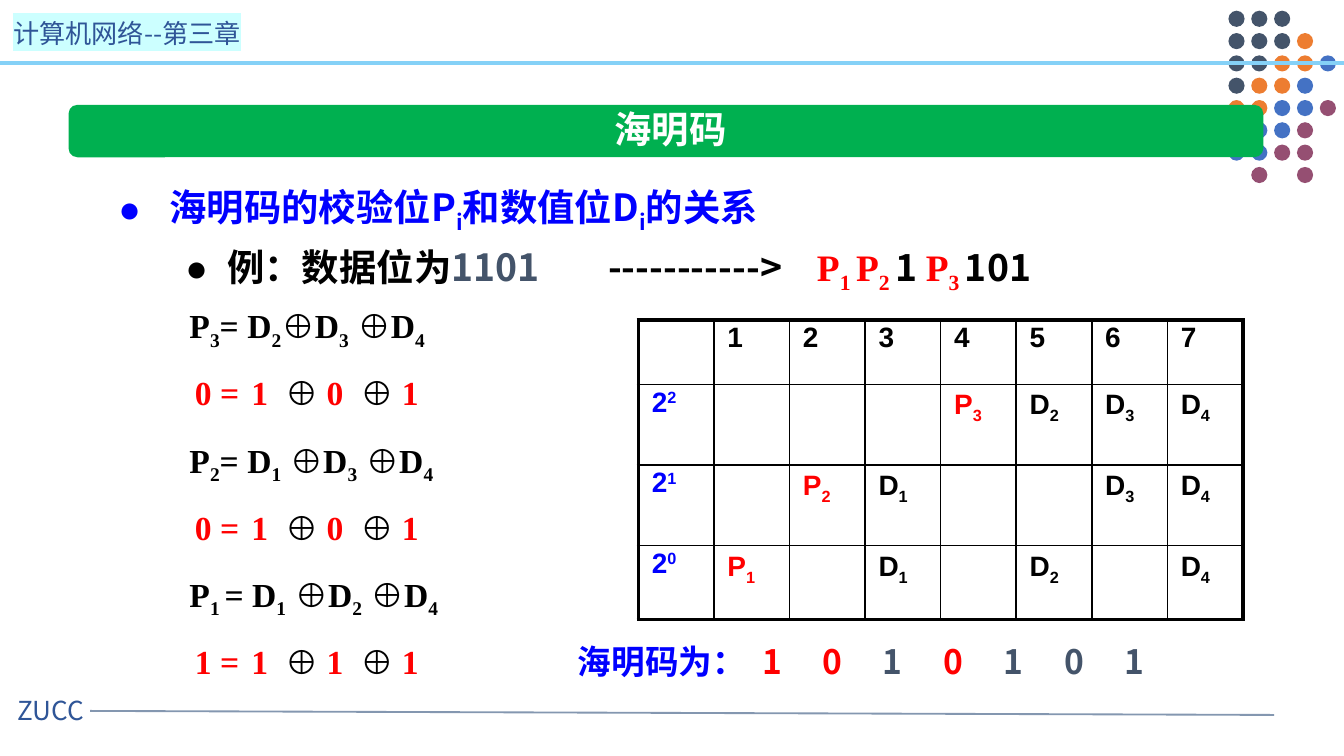
from dataclasses import dataclass

from lxml.etree import SubElement
from pptx import Presentation
from pptx.dml.color import RGBColor
from pptx.enum.shapes import MSO_CONNECTOR as Connector, MSO_SHAPE as Preset
from pptx.enum.text import MSO_ANCHOR as Anchor, MSO_AUTO_SIZE as AutoSize, PP_ALIGN as Align
from pptx.oxml import parse_xml
from pptx.oxml.ns import nsdecls, qn
from pptx.util import Inches, Pt

BLACK = RGBColor(0x00, 0x00, 0x00)
WHITE = RGBColor(0xFF, 0xFF, 0xFF)
BLUE = RGBColor(0x00, 0x00, 0xFF)
RED = RGBColor(0xFF, 0x00, 0x00)
SLATE = RGBColor(0x44, 0x54, 0x6A)
NAVY = RGBColor(0x2F, 0x55, 0x97)
STEEL = RGBColor(0x84, 0x97, 0xB0)
SKY = RGBColor(0x85, 0xD1, 0xF7)
PALE = RGBColor(0xCC, 0xFF, 0xFF)
GREEN = RGBColor(0x00, 0xB0, 0x50)
DOT_COLORS = {"N": SLATE, "O": RGBColor(0xED, 0x7D, 0x31),
              "B": RGBColor(0x44, 0x72, 0xC4), "P": RGBColor(0x95, 0x4F, 0x72)}

SANS, SERIF, PLAIN = "Noto Sans CJK SC", "Times New Roman", "Arial"
UNIT = Inches(10) / 100
DOT_ROWS = ("NNN", "NNNO", "NNOOB", "NOOB", "OOBBP", " BBP", "BBPP", " P P")
TERM_TABS = [0.4] + [start + 5.6 * step for step in range(3) for start in (4.6, 7.1)][:5]
CODE_TABS = [28.9] + [42.6 + 4.5 * step for step in range(7)]


@dataclass(frozen=True)
class Box:
    left: float
    top: float
    width: float
    height: float

    def emu(self) -> tuple:
        return tuple(grid(n) for n in (self.left, self.top, self.width, self.height))


@dataclass(frozen=True)
class Span:
    text: str
    color: RGBColor
    font: str = SANS
    size: float = 20
    bold: bool = True
    spread: int = 0


def grid(count: float) -> int:
    return round(count * UNIT)


def apply(target, formats: dict) -> None:
    for name, value in formats.items():
        setattr(target, name, value)


def place(shape, box: Box) -> None:
    apply(shape, dict(zip(("left", "top", "width", "height"), box.emu())))


def add_run(para, span: Span, text: str, baseline: int = 0, highlight=None) -> None:
    run = para.add_run()
    run.text = text
    apply(run.font, {"name": span.font, "size": Pt(span.size), "bold": span.bold})
    run.font.color.rgb = span.color
    props = run.font._element
    if baseline:
        props.set("baseline", str(baseline * 1000))
    if span.spread:
        props.set("spc", str(span.spread * 100))
    if span.font == SANS:
        props.find(qn("a:latin")).addnext(
            parse_xml(f'<a:ea {nsdecls("a")} typeface="{SANS}"/>'))
    if highlight is not None:
        props.find(qn("a:solidFill")).addnext(parse_xml(
            f'<a:highlight {nsdecls("a")}><a:srgbClr val="{highlight}"/></a:highlight>'))


def write(para, spans: list, highlight=None) -> None:
    for span in spans:
        mark, baseline = ("^", 30) if "^" in span.text else ("_", -25)
        plain, *pieces = span.text.split(mark)
        if plain:
            add_run(para, span, plain, highlight=highlight)
        for piece in pieces:
            end = 2 if piece[1:2] == " " and "⊕" not in piece else 1
            add_run(para, span, piece[:end], baseline)
            if piece[end:]:
                add_run(para, span, piece[end:])


def add_text(page, box: Box):
    frame = page.shapes.add_textbox(*box.emu()).text_frame
    frame.word_wrap = True
    return frame


def add_line(page, start: tuple, end: tuple, color: RGBColor, width: float) -> None:
    points = [grid(n) for n in start + end]
    line = page.shapes.add_connector(Connector.STRAIGHT, *points)
    line.line.color.rgb = color
    line.line.width = Pt(width)
    SubElement(line._element.spPr, qn("a:effectLst"))


def add_shape(page, preset, box: Box, color: RGBColor):
    shape = page.shapes.add_shape(preset, *box.emu())
    shape.shadow.inherit = False
    shape.fill.solid()
    shape.fill.fore_color.rgb = color
    shape.line.fill.background()
    return shape


def add_bullet(para, margin: float, hang: float, color: RGBColor) -> None:
    props = para._p.get_or_add_pPr()
    props.set("marL", str(grid(margin)))
    props.set("indent", str(-grid(hang)))
    SubElement(SubElement(props, qn("a:buClr")), qn("a:srgbClr"), val=str(color))
    SubElement(props, qn("a:buFont"), typeface=PLAIN)
    SubElement(props, qn("a:buChar"), char="●")


def add_tabs(para, stops: list) -> None:
    tabs = SubElement(para._p.get_or_add_pPr(), qn("a:tabLst"))
    for stop in stops:
        SubElement(tabs, qn("a:tab"), pos=str(grid(stop)), algn="l")


def add_borders(cell, thick_sides: dict) -> None:
    props = cell._tc.get_or_add_tcPr()
    for index, (side, thick) in enumerate(thick_sides.items()):
        width = Pt(2.25 if thick else 1)
        props.insert(index, parse_xml(
            f'<a:{side} {nsdecls("a")} w="{width}"><a:solidFill>'
            f'<a:srgbClr val="{BLACK}"/></a:solidFill></a:{side}>'))


def add_parity_table(page, box: Box, heights: tuple, rows: list) -> None:
    count = len(rows[0])
    table = page.shapes.add_table(len(rows), count, *box.emu()).table
    apply(table, {"first_row": False, "horz_banding": False})
    for column in table.columns:
        column.width = grid(box.width / count)
    for r, (height, texts) in enumerate(zip(heights, rows)):
        table.rows[r].height = grid(height)
        for c, text in enumerate(texts):
            cell = table.cell(r, c)
            cell.fill.background()
            apply(cell, {"margin_left": grid(1), "margin_right": grid(1),
                         "margin_top": grid(0.4), "margin_bottom": grid(0.4)})
            add_borders(cell, {"lnL": c == 0, "lnR": c == count - 1,
                               "lnT": r == 0, "lnB": r == len(rows) - 1})
            color = BLUE if "^" in text else RED if "P" in text else BLACK
            para = cell.text_frame.paragraphs[0]
            para.line_spacing = 0.9
            if text:
                write(para, [Span(text, color, PLAIN, 15)])


def add_equations(page) -> None:
    frame = add_text(page, Box(8.1, 20.7, 90.8, 29.8))
    apply(frame, {"margin_left": grid(6), "margin_top": 0})
    checks = [("P_3= D_2⊕D_3 ⊕D_4", "0101"), ("P_2= D_1 ⊕D_3 ⊕D_4", "0101"),
              ("P_1 = D_1 ⊕D_2 ⊕D_4", "1111")]
    lines = []
    for formula, (total, *terms) in checks:
        lines.append([Span(formula, BLACK, SERIF, 18)])
        values = [Span(f"\t{total} =", RED, SERIF, 18)]
        for index, term in enumerate(terms):
            if index:
                values.append(Span("\t⊕", BLACK, SERIF, 18))
            values.append(Span(f"\t{term}", RED, SERIF, 18))
        lines.append(values)
    lines[-1].append(Span("\t海明码为：", BLUE, SANS, 18))
    for index, bit in enumerate("1010101"):
        lines[-1].append(Span(f"\t{bit}", RED if index in (0, 1, 3) else SLATE, SANS, 18))
    for index, spans in enumerate(lines):
        para = frame.paragraphs[0] if index == 0 else frame.add_paragraph()
        add_tabs(para, TERM_TABS + CODE_TABS)
        para.line_spacing = Pt(33 if index % 2 else 39)
        write(para, spans)


def fill_body(body) -> None:
    place(body, Box(7.8, 13.2, 83.9, 38))
    frame = body.text_frame
    apply(frame, {"auto_size": AutoSize.NONE, "vertical_anchor": Anchor.TOP})
    heading, example = frame.paragraphs[0], frame.add_paragraph()
    add_bullet(heading, 3.8, 3.8, BLUE)
    heading.space_before = Pt(0)
    write(heading, [Span("海明码的校验位P_i和数值位D_i的关系", BLUE)])
    add_bullet(example, 8.1, 3.1, BLACK)
    apply(example, {"level": 1, "space_before": Pt(4.6)})
    write(example, [
        Span("例：数据位为", BLACK), Span("1101", SLATE), Span(" ", SLATE, spread=32),
        Span("----------->", BLACK), Span(" ", BLACK, spread=14),
        Span("P_1 P_2 ", RED, SERIF), Span("1 ", BLACK),
        Span("P_3 ", RED, SERIF), Span("101", BLACK)])


def fill_title(title) -> None:
    place(title, Box(44.7, 7.4, 10.4, 4.4))
    apply(title.text_frame, {"auto_size": AutoSize.NONE, "word_wrap": False,
                             "vertical_anchor": Anchor.MIDDLE})
    para = title.text_frame.paragraphs[0]
    para.alignment = Align.CENTER
    write(para, [Span("海明码", WHITE)])


def main() -> None:
    deck = Presentation()
    deck.slide_width = Inches(10)
    deck.slide_height = deck.slide_width * 9 // 16
    page = deck.slides.add_slide(deck.slide_layouts[1])
    add_line(page, (0.2, 4.7), (90.5, 4.7), STEEL, 1)
    add_line(page, (6.7, 52.9), (94.8, 53.2), STEEL, 1)
    for box, text, highlight in ((Box(0.3, 51.2, 8.9, 3.4), "ZUCC", None),
                                 (Box(0, 0.8, 21.6, 3.4), "计算机网络--第三章", PALE)):
        write(add_text(page, box).paragraphs[0],
              [Span(text, NAVY, size=14, bold=False)], highlight)
    for r, marks in enumerate(DOT_ROWS):
        for c, mark in enumerate(marks):
            if mark in DOT_COLORS:
                dot = Box(91.4 + 1.7 * c, 0.8 + 1.66 * r, 1.2, 1.2)
                add_shape(page, Preset.OVAL, dot, DOT_COLORS[mark])
    add_line(page, (0, 4.7), (100, 4.7), SKY, 2)
    fill_body(page.placeholders[1])
    add_parity_table(page, Box(47.5, 23.8, 45, 22.3), (4.8, 6, 6, 5.5), [
        ["", "1", "2", "3", "4", "5", "6", "7"],
        ["2^2", "", "", "", "P_3", "D_2", "D_3", "D_4"],
        ["2^1", "", "P_2", "D_1", "", "", "D_3", "D_4"],
        ["2^0", "P_1", "", "D_1", "", "D_2", "", "D_4"]])
    add_equations(page)
    banner = add_shape(page, Preset.ROUNDED_RECTANGLE, Box(5.1, 7.8, 88.9, 3.9), GREEN)
    banner.adjustments[0] = 0.17
    title = page.shapes.title
    fill_title(title)
    banner.element.addnext(title.element)
    deck.save("out.pptx")


if __name__ == "__main__":
    main()
